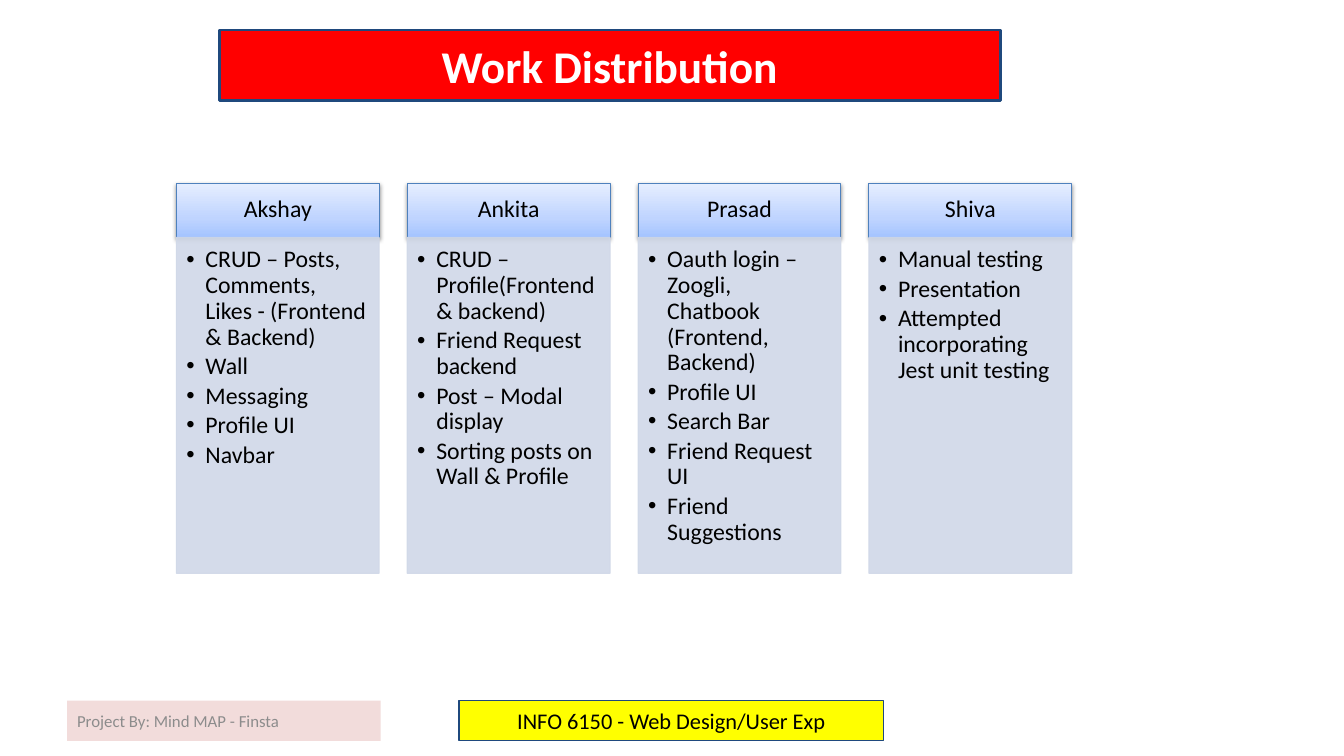
from copy import deepcopy

from lxml import etree
from pptx import Presentation
from pptx import util as u
from pptx.dml.color import RGBColor
from pptx.enum import shapes, text
from pptx.oxml import ns

MARGINS = ("margin_left", "margin_top", "margin_right", "margin_bottom")


def rgb(code):
    return RGBColor.from_string(code)


def add_xml(parent, tag, **attributes):
    values = {key: str(value) for key, value in attributes.items()}
    return etree.SubElement(parent, ns.qn(tag), values)


class Board:
    """Holds the style and the current slide."""

    font_name = "Calibri"
    name_stops = [(0, "A4C4FF"), (0.35, "BFD4FF"), (1, "E6EEFF")]
    centred = {"alignment": text.PP_ALIGN.CENTER}

    def __init__(self, slide):
        self.slide = slide

    def panel(self, box, fill=None, line=None, weight=1):
        panel = self.slide.shapes.add_shape(
            shapes.MSO_SHAPE.RECTANGLE, *(u.Pt(length) for length in box))
        panel.shadow.inherit = False
        if fill:
            panel.fill.solid()
            panel.fill.fore_color.rgb = rgb(fill)
        if line:
            panel.line.color.rgb = rgb(line)
            panel.line.width = u.Pt(weight)
        else:
            panel.line.fill.background()
        return panel

    def add_lines(self, panel, lines, font, layout, insets=(7.2, 3.6, 7.2, 3.6),
                  anchor=text.MSO_ANCHOR.MIDDLE, bulleted=False):
        frame = panel.text_frame
        frame.word_wrap = True
        frame.vertical_anchor = anchor
        for side, inset in zip(MARGINS, insets):
            setattr(frame, side, u.Pt(inset))
        for index, line in enumerate(lines):
            paragraph = frame.add_paragraph() if index else frame.paragraphs[0]
            paragraph.text = line
            for key, value in layout.items():
                setattr(paragraph, key, value)
            if bulleted:
                properties = paragraph._p.get_or_add_pPr()
                properties.set("marL", str(u.Pt(13.7)))
                properties.set("indent", str(u.Pt(-13.7)))
                add_xml(properties, "a:buFont", typeface="Arial")
                add_xml(properties, "a:buChar", char="•")
            run_font = paragraph.runs[0].font
            run_font.name = self.font_name
            run_font.color.rgb = rgb(font["color"])
            for key, value in font.items():
                if key != "color":
                    setattr(run_font, key, value)

    def label(self, box, words, font, layout, **look):
        self.add_lines(self.panel(box, **look), [words], font, layout)

    def name_card(self, box, name, font):
        card = self.panel(box, line="4F81BD", weight=0.75)
        card.fill.gradient()
        card.fill.gradient_angle = 90
        stops = card._element.spPr.find(".//" + ns.qn("a:gsLst"))
        stops.append(deepcopy(stops[0]))
        for stop, (position, color) in zip(card.fill.gradient_stops, self.name_stops):
            stop.position = position
            stop.color.rgb = rgb(color)
        # Soft shadow below the card
        effects = card._element.spPr.find(ns.qn("a:effectLst"))
        shadow = add_xml(effects, "a:outerShdw", blurRad=u.Pt(3.1), dist=u.Pt(1.6),
                         dir=5400000, rotWithShape=0)
        black = add_xml(shadow, "a:srgbClr", val="000000")
        add_xml(black, "a:alpha", val=38000)
        self.add_lines(card, [name], font, {**self.centred, "line_spacing": 0.9},
                       insets=(9.4, 5.8, 9.4, 5.8))

    def task_list(self, box, tasks, font):
        panel = self.panel(box, fill="D0D8E8", line="D0D8E8", weight=0.75)
        for color in panel._element.spPr.iter(ns.qn("a:srgbClr")):
            add_xml(color, "a:alpha", val=90000)
        layout = {"alignment": text.PP_ALIGN.LEFT, "line_spacing": 0.9,
                  "space_after": u.Pt(2.7)}
        self.add_lines(panel, tasks, font, layout, insets=(7.2, 7.2, 9.4, 10.8),
                       anchor=text.MSO_ANCHOR.TOP, bulleted=True)


WORK = {
    "Akshay": ["CRUD – Posts, Comments, Likes - (Frontend & Backend)", "Wall",
               "Messaging", "Profile UI", "Navbar"],
    "Ankita": ["CRUD – Profile(Frontend & backend)", "Friend Request backend",
               "Post – Modal display", "Sorting posts on Wall & Profile"],
    "Prasad": ["Oauth login – Zoogli, Chatbook (Frontend, Backend)", "Profile UI",
               "Search Bar", "Friend Request UI", "Friend Suggestions"],
    "Shiva": ["Manual testing", "Presentation",
              "Attempted incorporating Jest unit testing"],
}


def main():
    deck = Presentation()
    deck.slide_width, deck.slide_height = u.Pt(960), u.Pt(540)
    board = Board(deck.slides.add_slide(deck.slide_layouts[6]))

    # Title
    board.label((156.5, 21.5, 558, 50.5), "Work Distribution",
                {"size": u.Pt(32.4), "bold": True, "color": "FFFFFF"},
                board.centred, fill="FF0000", line="1F497D", weight=2)

    # Footer
    board.label((48, 500.4, 224, 28.8), "Project By: Mind MAP - Finsta",
                {"size": u.Pt(12), "color": "8C8C8C"},
                {"alignment": text.PP_ALIGN.LEFT}, fill="F2DCDB")
    board.label((328, 500.4, 303, 28.8), "INFO 6150 - Web Design/User Exp",
                {"size": u.Pt(16), "color": "000000"},
                board.centred, fill="FFFF00", line="1F497D")

    # One column per team member
    left, pitch, width = 126, 164.9, 144.9
    name_top, name_height, tasks_height = 131, 38.5, 240
    column_font = {"size": u.Pt(17), "color": "000000"}
    for column, (member, tasks) in enumerate(WORK.items()):
        x = left + column * pitch
        board.name_card((x, name_top, width, name_height), member, column_font)
        board.task_list((x, name_top + name_height, width, tasks_height),
                        tasks, column_font)

    deck.save("out.pptx")


if __name__ == "__main__":
    main()
